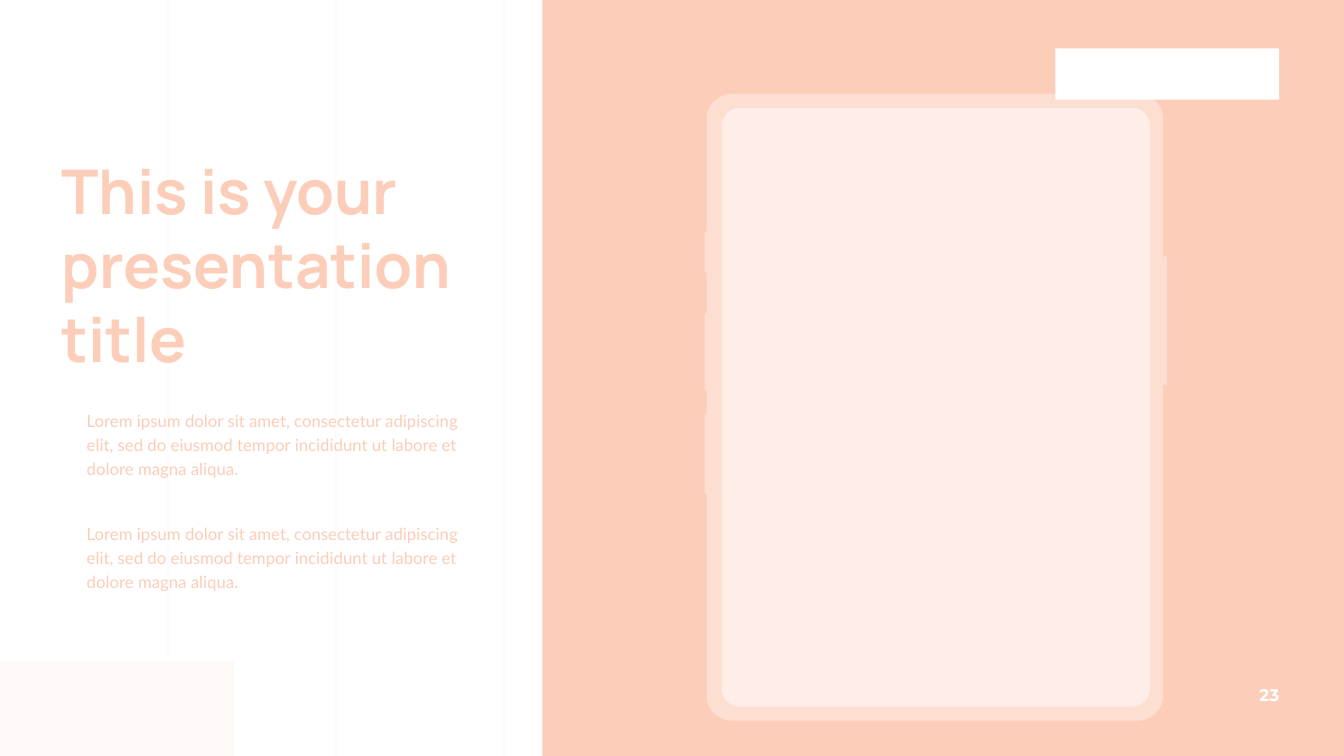
from lxml.etree import SubElement
from pptx import Presentation
from pptx.dml.color import RGBColor
from pptx.enum.shapes import MSO_CONNECTOR, MSO_SHAPE
from pptx.enum.text import MSO_ANCHOR, MSO_AUTO_SIZE, PP_ALIGN
from pptx.oxml.ns import qn
from pptx.util import Pt

# Content
TITLE = ["This is your presentation", "title"]
LOREM = ("Lorem ipsum dolor sit amet, consectetur adipiscing elit, sed do "
         "eiusmod tempor incididunt ut labore et dolore magna aliqua.")
BODY = [LOREM, LOREM]
PAGE_NUMBER = ["23"]

COLORS = {"peach": "FCCDB9", "frame": "FDDFD2", "screen": "FEEEE7", "white": "FFFFFF"}
SLIDE_WIDTH, SLIDE_HEIGHT = 960, 540
GRID_COLUMNS = 8
FAINT = 10  # percent opacity

# Boxes: left, top, width, height in points
PANEL = (387.36, 0, 572.64, SLIDE_HEIGHT)
CORNER = (0, 472.32, 167.04, 67.68)
BUTTONS = [
    (830.88, 182.88, 2.88, 92.16),
    (503.28, 164.88, 3.6, 30.24),
    (503.28, 223.2, 3.6, 56.16),
    (503.28, 295.92, 3.6, 56.88),
]
TABLET = (504.72, 66.96, 326.16, 447.84)
SCREEN = (515.52, 77.04, 306, 427.68)
LABEL = (753.84, 34.56, 159.84, 36.72)
TITLE_BOX = (36.72, 105.84, 320.4, 167.04)
BODY_BOX = (48.24, 290.16, 289.44, 133.2)
NUMBER_BOX = (888.48, 481.68, 32.4, 28.8)

# Text formats
TITLE_FONT = {"name": "Manrope", "size": Pt(44), "bold": True}
BODY_FONT = {"name": "Lato", "size": Pt(12), "bold": False}
NUMBER_FONT = {"name": "Montserrat", "size": Pt(12), "bold": True}
BODY_INDENT = 13.68
BODY_GAP = 29.3

presentation = Presentation()
presentation.slide_width, presentation.slide_height = Pt(SLIDE_WIDTH), Pt(SLIDE_HEIGHT)
slide = presentation.slides.add_slide(presentation.slide_layouts[1])
shapes = slide.shapes


def set_opacity(fill, percent):
    color = fill._xPr.find(qn("a:solidFill"))[0]
    SubElement(color, qn("a:alpha"), val=str(percent * 1000))


def add_block(box, color, corner=None, opacity=None):
    kind = MSO_SHAPE.RECTANGLE if corner is None else MSO_SHAPE.ROUNDED_RECTANGLE
    shape = shapes.add_shape(kind, *map(Pt, box))
    shape.shadow.inherit = False
    shape.fill.solid()
    shape.fill.fore_color.rgb = RGBColor.from_string(COLORS[color])
    shape.line.fill.background()
    if corner is not None:
        shape.adjustments[0] = corner
    if opacity is not None:
        set_opacity(shape.fill, opacity)


def add_grid_line(x):
    line = shapes.add_connector(MSO_CONNECTOR.STRAIGHT, Pt(x), 0, Pt(x), Pt(SLIDE_HEIGHT))
    line.line.width = Pt(1.5)
    line.line.color.rgb = RGBColor.from_string(COLORS["screen"])
    set_opacity(line.line.fill, FAINT)
    SubElement(line._element.spPr, qn("a:effectLst"))


def write_text(shape, box, lines, font, color, paragraph_format, frame_format):
    shape.left, shape.top, shape.width, shape.height = map(Pt, box)
    frame = shape.text_frame
    frame.text = "\n".join(lines)
    for name, value in {"word_wrap": True, "auto_size": MSO_AUTO_SIZE.NONE,
                        **frame_format}.items():
        setattr(frame, name, value)
    for paragraph in frame.paragraphs:
        for name, value in paragraph_format.items():
            setattr(paragraph, name, value)
        for name, value in font.items():
            setattr(paragraph.runs[0].font, name, value)
        paragraph.runs[0].font.color.rgb = RGBColor.from_string(COLORS[color])


# Background panel, grid and corner
add_block(PANEL, "peach")
for column in range(1, GRID_COLUMNS):
    add_grid_line(column * SLIDE_WIDTH / GRID_COLUMNS)
add_block(CORNER, "peach", opacity=FAINT)

# Tablet with its side buttons, and the label block
for button in BUTTONS:
    add_block(button, "frame", corner=0.5)
add_block(TABLET, "frame", corner=0.056)
add_block(SCREEN, "screen", corner=0.042)
add_block(LABEL, "white")

# Page number
write_text(shapes.add_textbox(0, 0, 0, 0), NUMBER_BOX, PAGE_NUMBER, NUMBER_FONT, "white",
           {"alignment": PP_ALIGN.RIGHT}, {"vertical_anchor": MSO_ANCHOR.MIDDLE})

# Body text, brought in front of the grid
body = slide.placeholders[1]
no_margins = {"margin_" + side: 0 for side in ("left", "top", "right", "bottom")}
write_text(body, BODY_BOX, BODY, BODY_FONT, "peach",
           {"alignment": PP_ALIGN.LEFT, "line_spacing": 1.2, "space_before": Pt(0)},
           {"vertical_anchor": MSO_ANCHOR.TOP, **no_margins})
for paragraph in body.text_frame.paragraphs:
    properties = paragraph._p.get_or_add_pPr()
    properties.set("marL", str(Pt(BODY_INDENT)))
    properties.set("indent", "0")
    SubElement(properties, qn("a:buNone"))
for paragraph in body.text_frame.paragraphs[1:]:
    paragraph.space_before = Pt(BODY_GAP)

# Title
title = shapes.title
write_text(title, TITLE_BOX, TITLE, TITLE_FONT, "peach",
           {"alignment": PP_ALIGN.LEFT}, {"vertical_anchor": MSO_ANCHOR.TOP})
for placeholder in (body, title):
    shapes._spTree.append(placeholder._element)

presentation.save("out.pptx")
